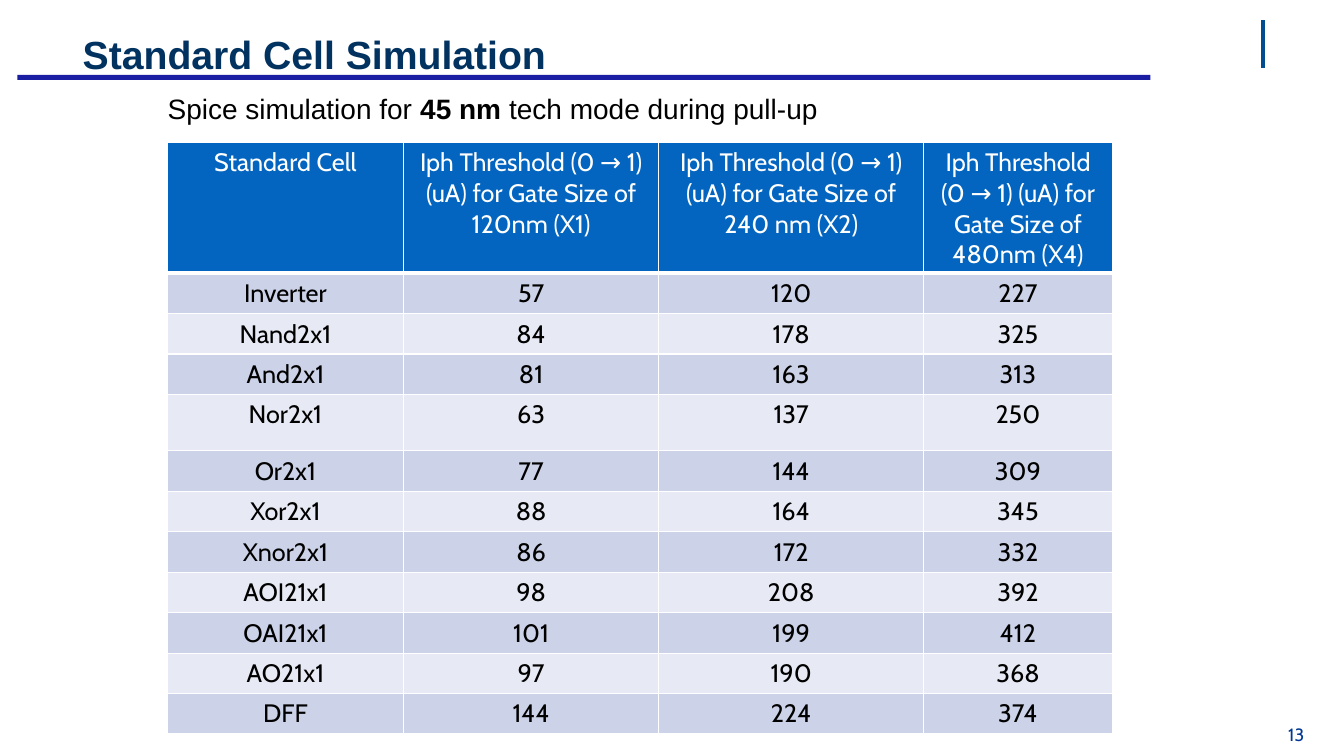
import pptx
import pptx.dml.color
import pptx.enum.shapes
import pptx.enum.text
import pptx.oxml
import pptx.oxml.ns
import pptx.util
from lxml import etree

Pt = pptx.util.Pt
RGBColor = pptx.dml.color.RGBColor
PP_ALIGN = pptx.enum.text.PP_ALIGN
MSO_ANCHOR = pptx.enum.text.MSO_ANCHOR
qn = pptx.oxml.ns.qn

TITLE = "Standard Cell Simulation"
SUBTITLE = [("Spice simulation for ", False), ("45 nm", True),
            (" tech mode during pull-up", False)]
PAGE_NUMBER = "13"
HEADER = ("Standard Cell",
          "Iph Threshold (0 → 1) (uA) for Gate Size of 120nm (X1)",
          "Iph Threshold (0 → 1) (uA) for Gate Size of 240 nm (X2)",
          "Iph Threshold (0 → 1) (uA) for Gate Size of 480nm (X4)")
THRESHOLDS = [
    ("Inverter", 57, 120, 227),
    ("Nand2x1", 84, 178, 325),
    ("And2x1", 81, 163, 313),
    ("Nor2x1", 63, 137, 250),
    ("Or2x1", 77, 144, 309),
    ("Xor2x1", 88, 164, 345),
    ("Xnor2x1", 86, 172, 332),
    ("AOI21x1", 98, 208, 392),
    ("OAI21x1", 101, 199, 412),
    ("AO21x1", 97, 190, 368),
    ("DFF", 144, 224, 374),
]

COLUMN_WIDTHS = (168.8, 182.2, 189.4, 134.6)
HEADER_HEIGHT, ROW_HEIGHT, TALL_ROW_HEIGHT = 93.5, 28.9, 40.3
TALL_ROW = "Nor2x1"

WHITE = RGBColor(0xFF, 0xFF, 0xFF)
BLACK = RGBColor(0, 0, 0)
TITLE_NAVY = RGBColor(0x01, 0x32, 0x60)
RULE_BLUE = RGBColor(0x19, 0x1E, 0xA2)
MARK_BLUE = RGBColor(0x02, 0x4C, 0x90)
PAGE_BLUE = RGBColor(0x00, 0x38, 0x93)
HEADER_BLUE = RGBColor(0x03, 0x65, 0xC0)
BANDS = (RGBColor(0xCC, 0xD3, 0xE8), RGBColor(0xE7, 0xEA, 0xF4))


def style(paragraph, font_name, size, color, bold=None):
    font = paragraph.font
    font.name, font.size, font.bold = font_name, Pt(size), bold
    font.color.rgb = color


def add_text(slide, box, margins, anchor=MSO_ANCHOR.TOP, wrap=True):
    """Add an empty text box and return its first paragraph."""
    frame = slide.shapes.add_textbox(*map(Pt, box)).text_frame
    frame.word_wrap = wrap
    frame.vertical_anchor = anchor
    (frame.margin_left, frame.margin_top,
     frame.margin_right, frame.margin_bottom) = map(Pt, margins)
    return frame.paragraphs[0]


def set_borders(cell, bottom_width):
    """Draw white borders, 1 pt wide except at the bottom."""
    properties = cell._tc.get_or_add_tcPr()
    widths = {"lnL": 1, "lnR": 1, "lnT": 1, "lnB": bottom_width}
    for position, (side, width) in enumerate(widths.items()):
        line = etree.Element(qn("a:" + side), w=str(Pt(width)))
        fill = etree.SubElement(line, qn("a:solidFill"))
        etree.SubElement(fill, qn("a:srgbClr"), val=str(WHITE))
        properties.insert(position, line)


def add_threshold_table(slide):
    heights = [HEADER_HEIGHT] + [
        TALL_ROW_HEIGHT if row[0] == TALL_ROW else ROW_HEIGHT for row in THRESHOLDS]
    table = slide.shapes.add_table(
        len(heights), len(COLUMN_WIDTHS), Pt(119.5), Pt(101.5),
        Pt(sum(COLUMN_WIDTHS)), Pt(sum(heights))).table
    for column, width in zip(table.columns, COLUMN_WIDTHS):
        column.width = Pt(width)
    for r, values in enumerate([HEADER] + THRESHOLDS):
        table.rows[r].height = Pt(heights[r])
        is_header = r == 0
        for c, value in enumerate(values):
            cell = table.cell(r, c)
            cell.text = str(value)
            cell.fill.solid()
            cell.fill.fore_color.rgb = HEADER_BLUE if is_header else BANDS[(r - 1) % 2]
            set_borders(cell, 3 if is_header else 1)
            paragraph = cell.text_frame.paragraphs[0]
            paragraph.alignment = PP_ALIGN.CENTER
            style(paragraph, "Cabin", 18, WHITE if is_header else BLACK, False)


def main():
    deck = pptx.Presentation()
    deck.slide_width, deck.slide_height = Pt(960), Pt(540)
    slide = deck.slides.add_slide(deck.slide_layouts[6])

    title_rule = slide.shapes.add_shape(
        pptx.enum.shapes.MSO_SHAPE.RECTANGLE, Pt(12.5), Pt(53.4), Pt(809.3), Pt(3.6))
    title_rule.shadow.inherit = False
    title_rule.fill.solid()
    title_rule.fill.fore_color.rgb = RULE_BLUE
    title_rule.line.fill.background()

    corner_mark = slide.shapes.add_connector(
        pptx.enum.shapes.MSO_CONNECTOR.STRAIGHT, Pt(902.2), Pt(14.6), Pt(902.2), Pt(48.8))
    corner_mark.line.color.rgb = MARK_BLUE
    corner_mark.line.width = Pt(3)
    etree.SubElement(corner_mark._element.spPr, qn("a:effectLst"))

    title = add_text(slide, (49, 9.4, 861.8, 58.3), (10.1,) * 4, MSO_ANCHOR.MIDDLE)
    title.text = TITLE
    style(title, "Arial", 28, TITLE_NAVY, True)

    page_number = add_text(slide, (918, 517, 15.8, 15.1), (0,) * 4, wrap=False)
    page_number.text = PAGE_NUMBER
    page_number.alignment = PP_ALIGN.CENTER
    style(page_number, "Cabin", 12.7, PAGE_BLUE)

    add_threshold_table(slide)

    subtitle = add_text(slide, (95.8, 61.9, 572.4, 31.7), (23.9, 3.6, 7.2, 3.6))
    style(subtitle, "Arial", 20, BLACK)
    for words, bold in SUBTITLE:
        run = subtitle.add_run()
        run.text = words
        run.font.bold = bold

    deck.save("out.pptx")


if __name__ == "__main__":
    main()
